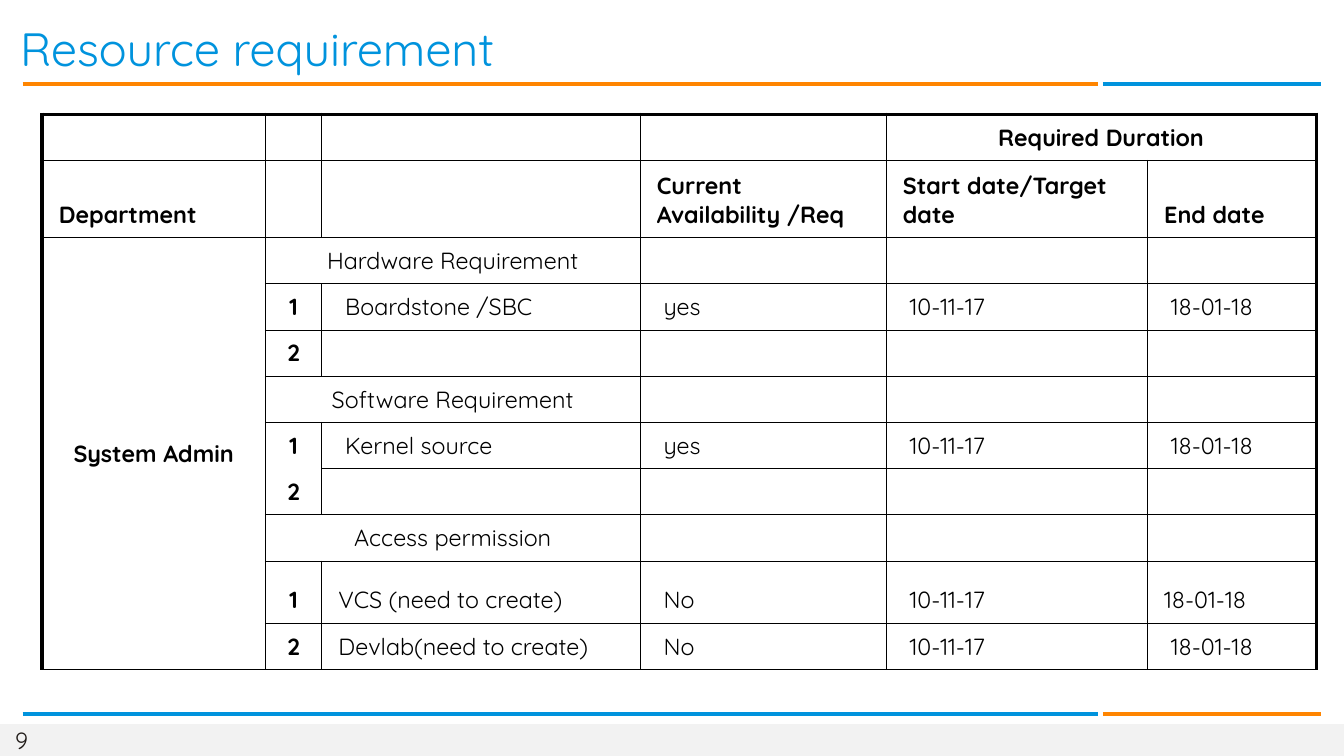
from dataclasses import dataclass

from lxml.etree import SubElement
from pptx import Presentation
from pptx.dml.color import RGBColor
from pptx.enum.shapes import MSO_CONNECTOR, MSO_SHAPE
from pptx.enum.text import MSO_ANCHOR, PP_ALIGN
from pptx.oxml.ns import qn
from pptx.util import Inches, Pt


@dataclass(frozen=True)
class Theme:
    font: str = "Quicksand"
    blue: str = "0093DD"
    orange: str = "FF8500"
    black: str = "000000"
    page_number: str = "1F1A17"
    footer: str = "F2F2F2"
    title_size: int = 40
    body_size: int = 20
    rule_width: int = 3
    thin: int = 1
    thick: int = 3


class SlideBuilder:
    def __init__(self, slide, theme):
        self.slide = slide
        self.theme = theme

    def style(self, paragraph, size, color, bold=False, align=PP_ALIGN.LEFT):
        paragraph.alignment = align
        font = paragraph.font
        font.name, font.size, font.bold = self.theme.font, Pt(size), bold
        font.color.rgb = RGBColor.from_string(color)

    def band(self, left, top, width, height, color):
        band = self.slide.shapes.add_shape(
            MSO_SHAPE.RECTANGLE, Inches(left), Inches(top), Inches(width), Inches(height))
        band.shadow.inherit = False
        band.fill.solid()
        band.fill.fore_color.rgb = RGBColor.from_string(color)
        band.line.fill.background()

    def rule(self, start, end, y, color):
        rule = self.slide.shapes.add_connector(
            MSO_CONNECTOR.STRAIGHT, Inches(start), Inches(y), Inches(end), Inches(y))
        rule.line.color.rgb = RGBColor.from_string(color)
        rule.line.width = Pt(self.theme.rule_width)
        SubElement(rule._element.spPr, qn("a:effectLst"))

    def text(self, left, top, width, height, words, size, color, insets=(0, 0), wrap=True):
        box = self.slide.shapes.add_textbox(
            Inches(left), Inches(top), Inches(width), Inches(height))
        frame = box.text_frame
        frame.word_wrap = wrap
        frame.vertical_anchor = MSO_ANCHOR.MIDDLE
        frame.margin_left = frame.margin_right = Inches(insets[0])
        frame.margin_top = frame.margin_bottom = Inches(insets[1])
        frame.text = words
        self.style(frame.paragraphs[0], size, color)

    def table(self, left, top, columns, rows):
        table = self.slide.shapes.add_table(
            len(rows), len(columns), Inches(left), Inches(top),
            Inches(sum(columns)), Inches(sum(rows))).table
        table.first_row = table.horz_banding = False
        for column, width in zip(table.columns, columns):
            column.width = Inches(width)
        for row, height in zip(table.rows, rows):
            row.height = Inches(height)
        return table

    def cell_text(self, cell, words, bold=False, align=PP_ALIGN.LEFT,
                  anchor=MSO_ANCHOR.BOTTOM, indent=0.2):
        cell.text = words
        cell.vertical_anchor = anchor
        cell.margin_left, cell.margin_right = Inches(indent), Inches(0.2)
        cell.margin_top = cell.margin_bottom = Inches(0.1)
        self.style(cell.text_frame.paragraphs[0], self.theme.body_size,
                   self.theme.black, bold, align)

    def cell_borders(self, cell, widths):
        """Widths are in points for left, right, top, bottom; 0 hides the edge."""
        properties = cell._tc.get_or_add_tcPr()
        for side, width in zip("LRTB", widths):
            edge = SubElement(properties, qn(f"a:ln{side}"), w=str(Pt(width)))
            if width:
                fill = SubElement(edge, qn("a:solidFill"))
                SubElement(fill, qn("a:srgbClr"), val=self.theme.black)
            else:
                SubElement(edge, qn("a:noFill"))
        cell.fill.background()


theme = Theme()
presentation = Presentation()
presentation.slide_width, presentation.slide_height = Inches(16), Inches(9)
builder = SlideBuilder(presentation.slides.add_slide(presentation.slide_layouts[6]), theme)

# Footer, page number and rules
builder.band(0, 8.62, 16, 0.38, theme.footer)
builder.text(0.18, 8.64, 0.34, 0.34, "9", theme.body_size, theme.page_number, wrap=False)
for y, long_color, short_color in ((1, theme.orange, theme.blue),
                                   (8.5, theme.blue, theme.orange)):
    builder.rule(0.27, 13.07, y, long_color)
    builder.rule(13.13, 15.73, y, short_color)

# Title
builder.text(0.17, 0.22, 14.33, 0.7, "Resource requirement",
             theme.title_size, theme.blue, insets=(0.07, 0.04))

# Requirement table
column_widths = [2.66, 0.67, 3.79, 2.93, 3.11, 2.01]
row_heights = [0.55, 0.92] + [0.55] * 7 + [0.74, 0.55]
requirements = builder.table(0.5, 1.36, column_widths, row_heights)
start_date, end_date = "10-11-17", "18-01-18"

# Column headings
requirements.cell(0, 4).merge(requirements.cell(0, 5))
builder.cell_text(requirements.cell(0, 4), "Required Duration", True, PP_ALIGN.CENTER)
headings = {0: "Department", 3: "Current Availability /Req",
            4: "Start date/Target date", 5: "End date"}
for column, heading in headings.items():
    builder.cell_text(requirements.cell(1, column), heading, True)

# Department
department = requirements.cell(2, 0)
department.merge(requirements.cell(10, 0))
builder.cell_text(department, "System Admin", True, PP_ALIGN.CENTER, MSO_ANCHOR.MIDDLE)

# Groups of two numbered items: name, availability
groups = [
    ("Hardware Requirement", [("Boardstone /SBC", "yes"), None]),
    ("Software Requirement", [("Kernel source", "yes"), None]),
    ("Access permission", [("VCS (need to create)", "No"),
                           ("Devlab(need to create)", "No")]),
]
flush_cells = {(9, 2), (10, 2), (9, 5)}
for group_row, (group, items) in zip(range(2, 11, 3), groups):
    group_cell = requirements.cell(group_row, 1)
    group_cell.merge(requirements.cell(group_row, 2))
    builder.cell_text(group_cell, group, align=PP_ALIGN.CENTER)
    for number, item in enumerate(items, 1):
        row = group_row + number
        builder.cell_text(requirements.cell(row, 1), str(number), True, PP_ALIGN.CENTER)
        if item:
            for column, words in enumerate((*item, start_date, end_date), 2):
                indent = 0.2 if (row, column) in flush_cells else 0.28
                builder.cell_text(requirements.cell(row, column), words, indent=indent)

# Borders: thick outer frame at left, top and right; software numbers share one box
for row in range(len(row_heights)):
    for column in range(len(column_widths)):
        cell = requirements.cell(row, column)
        if cell.is_spanned:
            continue
        last_column = column + (cell.span_width if cell.is_merge_origin else 1)
        builder.cell_borders(cell, (
            theme.thick if column == 0 else theme.thin,
            theme.thick if last_column == len(column_widths) else theme.thin,
            theme.thick if row == 0 else 0 if (row, column) == (7, 1) else theme.thin,
            0 if (row, column) == (6, 1) else theme.thin))

presentation.save("out.pptx")
